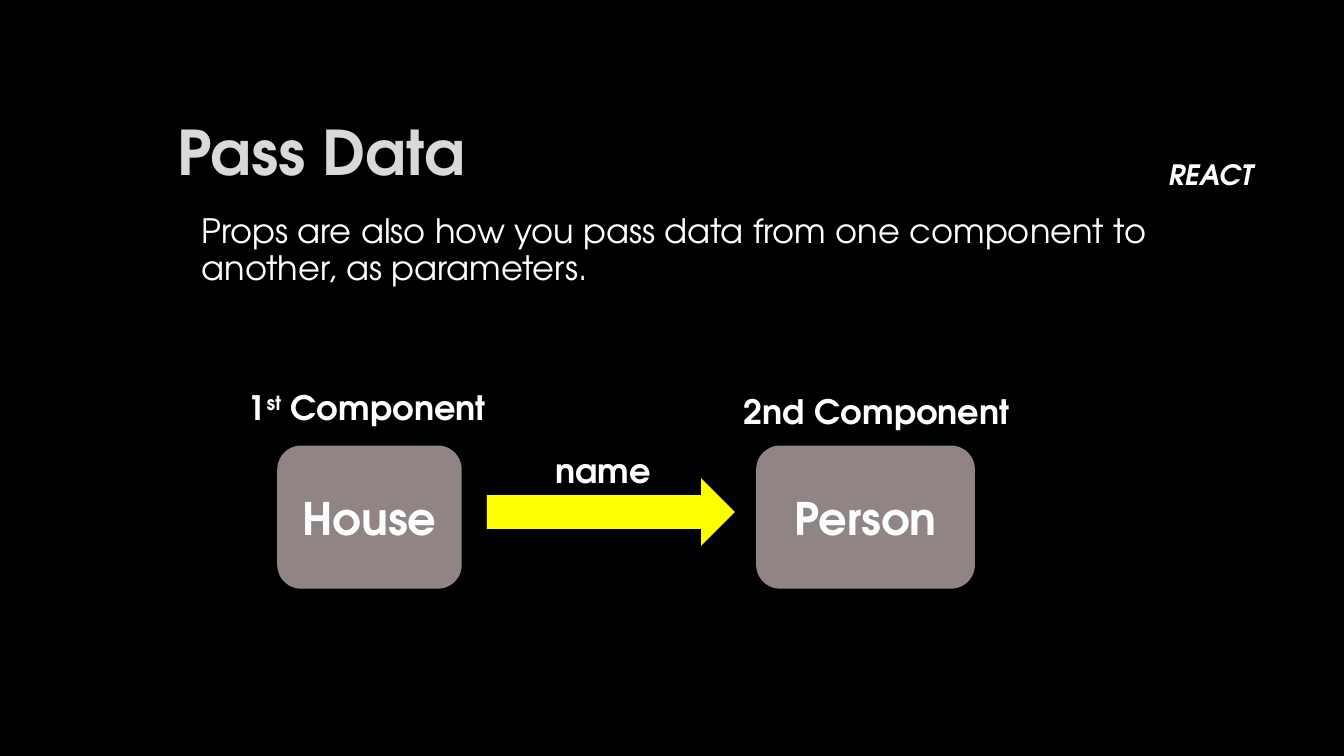
from lxml import etree
from pptx import Presentation
from pptx.dml.color import RGBColor
from pptx.enum.shapes import MSO_SHAPE
from pptx.enum.text import MSO_ANCHOR, MSO_AUTO_SIZE, PP_ALIGN
from pptx.oxml.ns import qn
from pptx.util import Inches, Pt

ROUNDED, ARROW = MSO_SHAPE.ROUNDED_RECTANGLE, MSO_SHAPE.RIGHT_ARROW
TOP, MIDDLE, BOTTOM = MSO_ANCHOR.TOP, MSO_ANCHOR.MIDDLE, MSO_ANCHOR.BOTTOM
FIXED, GROW = MSO_AUTO_SIZE.NONE, MSO_AUTO_SIZE.SHAPE_TO_FIT_TEXT
LEFT, CENTER = PP_ALIGN.LEFT, PP_ALIGN.CENTER

FONT = "TeX Gyre Adventor"
COLORS = {"background": "000000", "title": "D9D9D9", "text": "FFFFFF",
          "component": "918485", "arrow": "FFFF00"}

TITLE = "Pass Data"
BODY = "Props are also how you pass data from one component to another, as parameters."
TOPIC = "REACT"
PROP = "name"
COMPONENTS = [
    {"name": "House", "left": 2.75, "width": 1.83,
     "label": ["1", "st", " Component"], "label_box": (2.36, 3.79, 2.6, 0.5)},
    {"name": "Person", "left": 7.5, "width": 2.17,
     "label": ["2nd Component"], "label_box": (7.28, 3.83, 2.86, 0.5)},
]
MARGIN, CONTENT_WIDTH = 1.66, 10
ROW_TOP, ROW_HEIGHT = 4.42, 1.42
ARROW_LEFT, ARROW_WIDTH, ARROW_HEIGHT = 4.83, 2.46, 0.67


def rgb(name):
    return RGBColor.from_string(COLORS[name])


def place(item, box):
    item.left, item.top, item.width, item.height = map(Inches, box)


def write(item, parts, size, color="text", bold=True, italic=False, align=LEFT, anchor=MIDDLE):
    frame = item.text_frame
    frame.vertical_anchor = anchor
    paragraph = frame.paragraphs[0]
    for part in parts:
        run = paragraph.add_run()
        run.text = part
        if part == "st":
            run.font._element.set("baseline", "30000")
    paragraph.alignment = align
    font = paragraph.font
    font.name, font.size, font.bold, font.italic = FONT, Pt(size), bold, italic
    font.color.rgb = rgb(color)
    return paragraph


def add_label(slide, parts, box, size=24, italic=False):
    label = slide.shapes.add_textbox(*map(Inches, box))
    label.text_frame.word_wrap = False
    label.text_frame.auto_size = GROW
    write(label, parts, size, italic=italic)


def add_block(slide, kind, box, color):
    block = slide.shapes.add_shape(kind, *map(Inches, box))
    block.shadow.inherit = False
    block.fill.solid()
    block.fill.fore_color.rgb = rgb(color)
    block.line.fill.background()
    return block


def main():
    deck = Presentation()
    deck.slide_width, deck.slide_height = Inches(13.33), Inches(7.5)
    slide = deck.slides.add_slide(deck.slide_layouts[1])
    slide.background.fill.solid()
    slide.background.fill.fore_color.rgb = rgb("background")

    title, body = slide.placeholders
    place(title, (MARGIN, 0.42, CONTENT_WIDTH, 1.5))
    place(body, (MARGIN, 2.08, CONTENT_WIDTH, 4.5))
    for holder in (title, body):
        holder.text_frame.auto_size = FIXED
    heading = write(title, [TITLE], 44, "title", anchor=BOTTOM)
    heading.line_spacing = 0.9

    statement = write(body, [BODY], 24, bold=False, anchor=TOP)
    statement.line_spacing = 0.9
    statement.space_before = Pt(0)
    properties = statement._p.get_or_add_pPr()
    properties.set("marL", str(Inches(0.24)))
    properties.set("indent", "0")
    properties.find(qn("a:defRPr")).addprevious(etree.Element(qn("a:buNone")))

    add_label(slide, [TOPIC], (11.49, 1.51, 1.05, 0.44), size=20, italic=True)

    for component in COMPONENTS:
        box = (component["left"], ROW_TOP, component["width"], ROW_HEIGHT)
        block = add_block(slide, ROUNDED, box, "component")
        write(block, [component["name"]], 32, align=CENTER)
        add_label(slide, component["label"], component["label_box"])

    arrow_top = ROW_TOP + (ROW_HEIGHT - ARROW_HEIGHT) / 2 - 0.05
    add_block(slide, ARROW, (ARROW_LEFT, arrow_top, ARROW_WIDTH, ARROW_HEIGHT), "arrow")
    add_label(slide, [PROP], (5.41, 4.41, 1.16, 0.5))

    deck.save("out.pptx")


if __name__ == "__main__":
    main()
